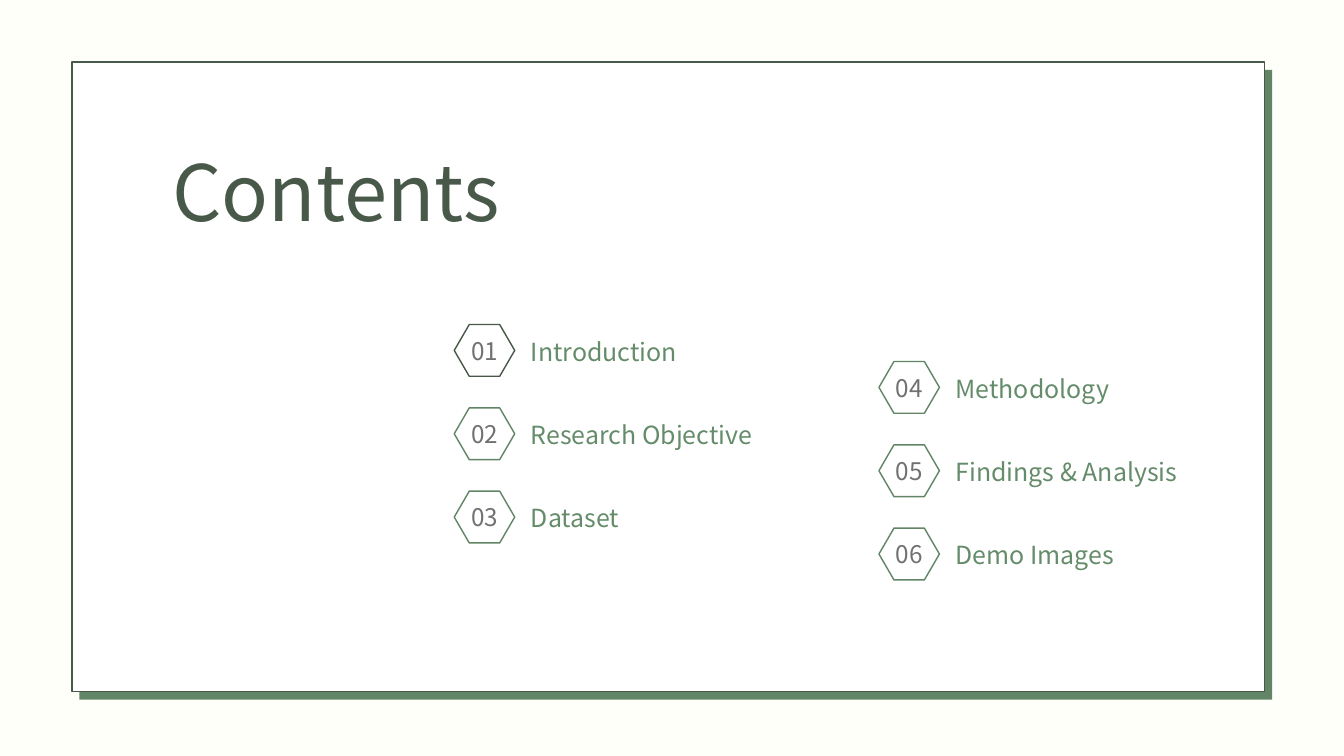
from pptx import Presentation
from pptx import util as u
from pptx.dml.color import RGBColor
from pptx.enum import shapes, text

Inches, Pt = u.Inches, u.Pt
FONT = "Noto Sans CJK KR"
DARK, GREEN, WHITE = "485849", "628566", "FFFFFF"


def rgb(value):
    return RGBColor.from_string(value)


def write(box, words, size, color, spacing, align=text.PP_ALIGN.LEFT,
          anchor=text.MSO_ANCHOR.TOP, inset=0):
    frame = box.text_frame
    frame.word_wrap = True
    frame.auto_size = text.MSO_AUTO_SIZE.NONE
    frame.vertical_anchor = anchor
    frame.margin_left = frame.margin_right = Inches(inset)
    frame.margin_top = frame.margin_bottom = Inches(inset)
    line = frame.paragraphs[0]
    line.alignment = align
    line.line_spacing = Pt(spacing)
    line.space_before = Pt(0)
    run = line.add_run()
    run.text = words
    run.font.name = FONT
    run.font.size = Pt(size)
    run.font.color.rgb = rgb(color)


prs = Presentation()
prs.slide_width, prs.slide_height = Inches(20), Inches(11.25)
slide = prs.slides.add_slide(prs.slide_layouts[5])
slide.background.fill.solid()
slide.background.fill.fore_color.rgb = rgb("FFFFFA")

# Card with its offset green backing
for left, top, fill, outline in ((1.18, 1.04, GREEN, None), (1.07, 0.92, WHITE, DARK)):
    card = slide.shapes.add_shape(shapes.MSO_SHAPE.RECTANGLE, Inches(left), Inches(top),
                                  Inches(17.75), Inches(9.37))
    card.shadow.inherit = False
    card.fill.solid()
    card.fill.fore_color.rgb = rgb(fill)
    if outline:
        card.line.color.rgb = rgb(outline)
        card.line.width = Pt(1.5)
    else:
        card.line.fill.background()

# Title, brought in front of the card
title = slide.shapes.title
card._element.addnext(title._element)
title.left, title.top = Inches(2.21), Inches(1.91)
title.width, title.height = Inches(5.58), Inches(1.57)
write(title, "Contents", 83.1, DARK, 116.3, align=text.PP_ALIGN.CENTER)

# Two columns of numbered topics, the second set lower
columns = (
    (6.76, 4.83, ("Introduction", "Research Objective", "Dataset")),
    (13.08, 5.38, ("Methodology", "Findings & Analysis", "Demo Images")),
)
row_pitch = 1.24
number = 0
for left, first_top, topics in columns:
    for row, topic in enumerate(topics):
        number += 1
        top = first_top + row * row_pitch

        hexagon = slide.shapes.add_shape(shapes.MSO_SHAPE.HEXAGON, Inches(left), Inches(top),
                                         Inches(0.9), Inches(0.77))
        hexagon.adjustments[0] = 0.29
        hexagon.shadow.inherit = False
        hexagon.fill.solid()
        hexagon.fill.fore_color.rgb = rgb(WHITE)
        hexagon.line.color.rgb = rgb(DARK if number == 1 else GREEN)
        hexagon.line.width = Pt(1.5)

        numeral = slide.shapes.add_textbox(Inches(left + 0.13), Inches(top - 0.06),
                                           Inches(0.64), Inches(0.82))
        write(numeral, f"{number:02d}", 26, "727070", 36.4, align=text.PP_ALIGN.CENTER,
              anchor=text.MSO_ANCHOR.MIDDLE, inset=0.06)

        label = slide.shapes.add_textbox(Inches(left + 1.14), Inches(top + 0.1),
                                         Inches(4.23), Inches(0.5))
        write(label, topic, 26.7, "658C6A", 37.4)

prs.save("out.pptx")
